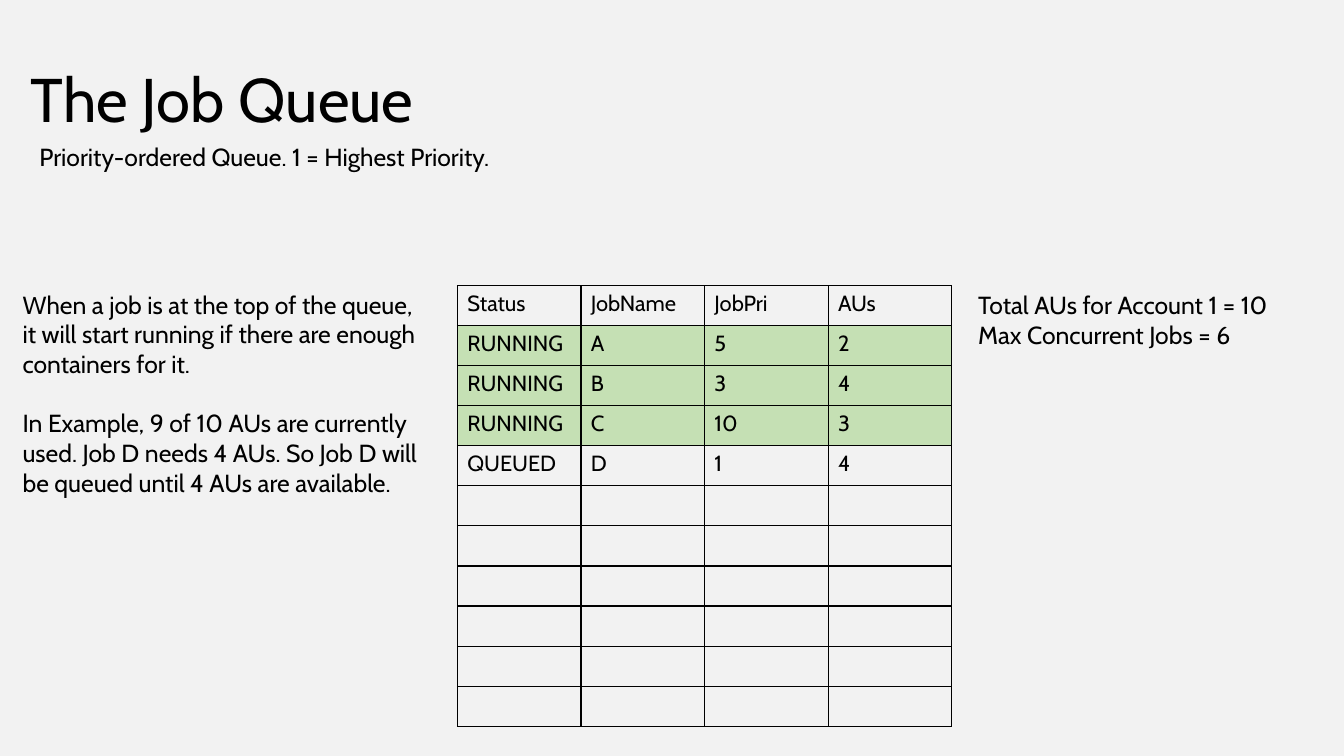
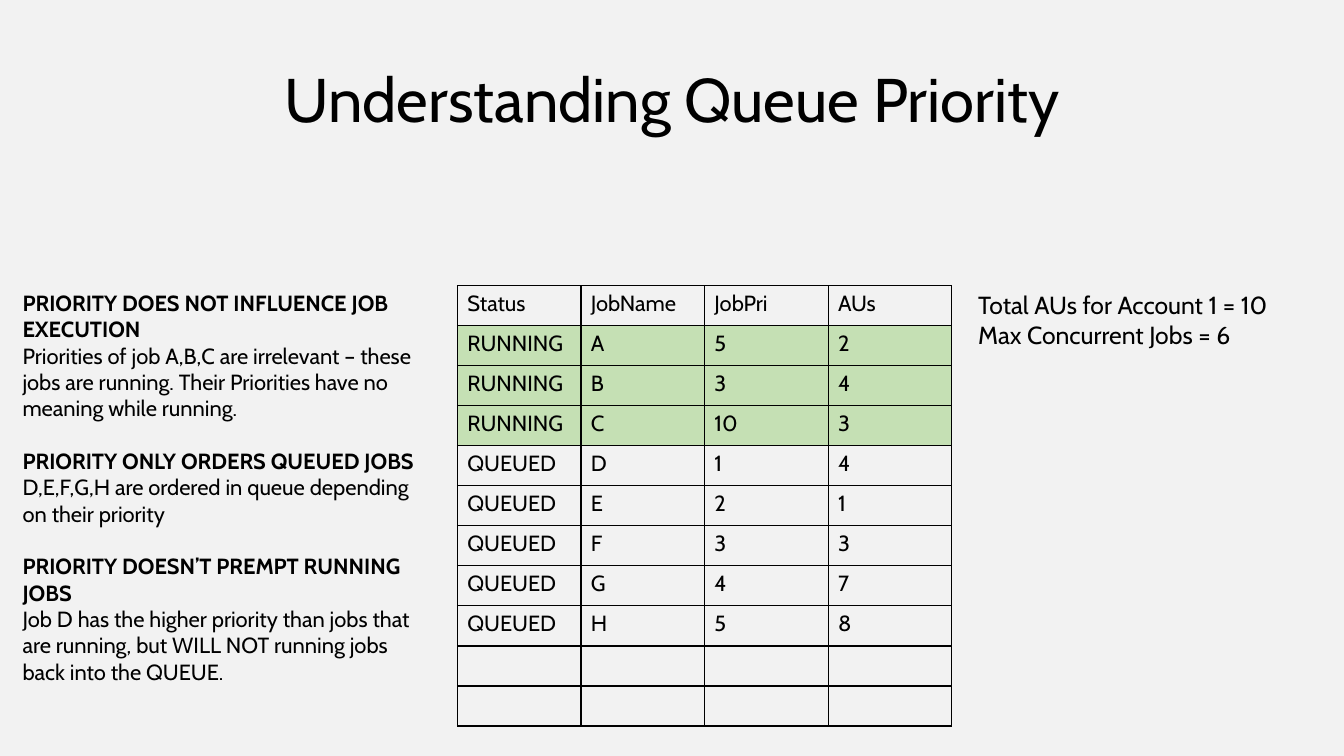
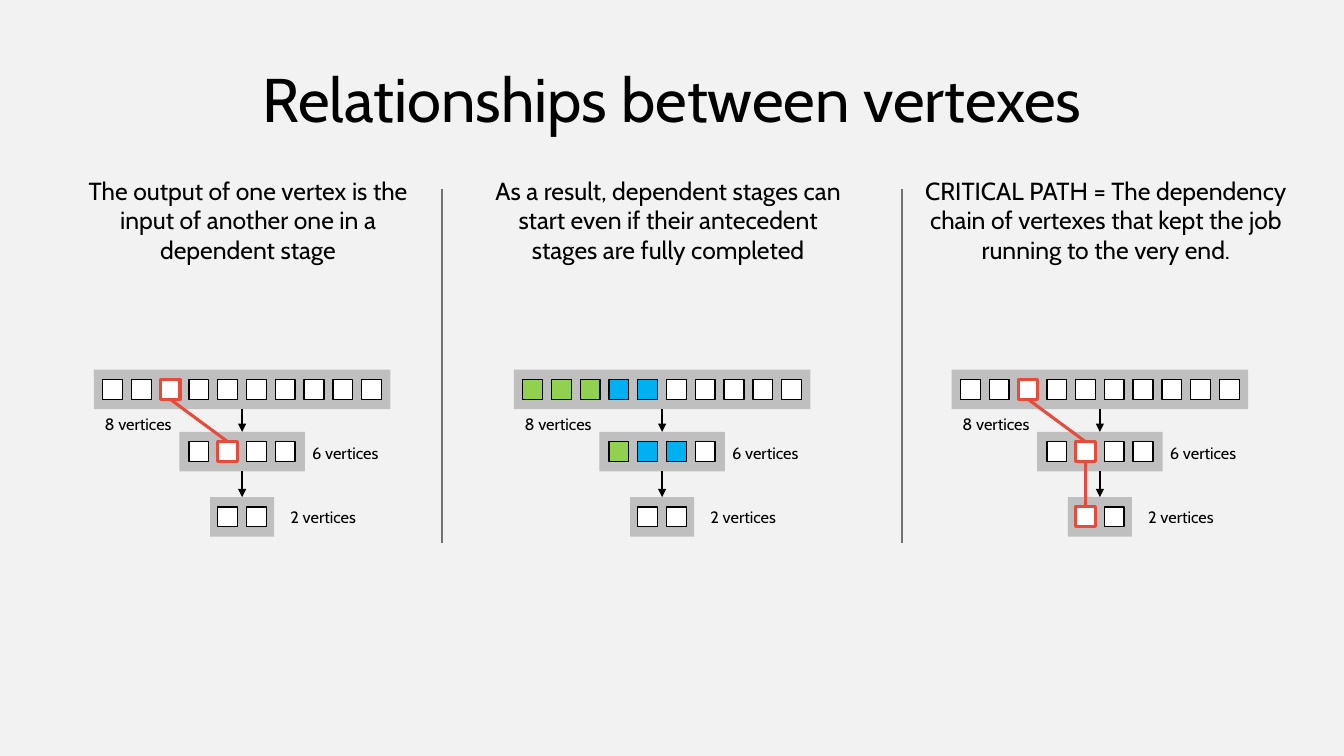
"""Build three slides on job queues, priorities and vertex dependencies."""
from lxml import etree
from pptx import Presentation
from pptx import util as u
from pptx.dml.color import RGBColor
from pptx.enum import shapes, text
from pptx.oxml import ns

FONT = "Cabin"
BLACK, WHITE, PAPER = "000000", "FFFFFF", "F2F2F2"
RUNNING_FILL, BAR_FILL = "C5E0B4", "BFBFBF"
DIVIDER_LINE, CRITICAL_LINE = "767171", "E74B3C"
LEFT, CENTER = text.PP_ALIGN.LEFT, text.PP_ALIGN.CENTER
TOP, MIDDLE = text.MSO_ANCHOR.TOP, text.MSO_ANCHOR.MIDDLE

HEADER = ("Status", "JobName", "JobPri", "AUs")
RUNNING_JOBS = [("RUNNING", "A", "5", "2"), ("RUNNING", "B", "3", "4"), ("RUNNING", "C", "10", "3")]
QUEUED_JOBS = [
    ("QUEUED", "D", "1", "4"),
    ("QUEUED", "E", "2", "1"),
    ("QUEUED", "F", "3", "3"),
    ("QUEUED", "G", "4", "7"),
    ("QUEUED", "H", "5", "8"),
]
TABLE_ROWS = 11
ACCOUNT_LIMITS = [[("Total AUs for Account 1 = 10", False), ("Max Concurrent Jobs = 6", False)]]

QUEUE_SLIDES = [
    {
        "title": "The Job Queue",
        "align": LEFT,
        "subtitle": "Priority-ordered Queue. 1 = Highest Priority.",
        "size": 18,
        "blocks": [
            [("When a job is at the top of the queue, it will start running if there are "
              "enough containers for it.", False)],
            [("In Example, 9 of 10 AUs are currently used. Job D needs 4 AUs. So Job D will "
              "be queued until 4 AUs are available.", False)],
        ],
        "jobs": RUNNING_JOBS + QUEUED_JOBS[:1],
    },
    {
        "title": "Understanding Queue Priority",
        "align": CENTER,
        "subtitle": None,
        "size": 16,
        "blocks": [
            [("PRIORITY DOES NOT INFLUENCE JOB EXECUTION", True),
             ("Priorities of job A,B,C are irrelevant – these jobs are running. Their "
              "Priorities have no meaning while running.", False)],
            [("PRIORITY ONLY ORDERS QUEUED JOBS", True),
             ("D,E,F,G,H are ordered in queue depending on their priority", False)],
            [("PRIORITY DOESN’T PREMPT RUNNING JOBS", True),
             ("Job D has the higher priority than jobs that are running, but WILL NOT "
              "running jobs back into the QUEUE.", False)],
        ],
        "jobs": RUNNING_JOBS + QUEUED_JOBS,
    },
]

VERTEX_TITLE = "Relationships between vertexes"
VERTEX_STYLES = {
    "waiting": (WHITE, BLACK, 1),
    "done": ("92D050", BLACK, 1),
    "active": ("00B0F0", BLACK, 1),
    "critical": (WHITE, CRITICAL_LINE, 2.25),
}
VERTEX_COLUMNS = [
    (0.55, "The output of one vertex is the input of another one in a dependent stage",
     [{"critical": [2]}, {"critical": [1]}, {}]),
    (4.8, "As a result, dependent stages can start even if their antecedent stages are "
          "fully completed",
     [{"done": [0, 1, 2], "active": [3, 4]}, {"done": [0], "active": [1, 2]}, {}]),
    (9.23, "CRITICAL PATH = The dependency chain of vertexes that kept the job running to "
           "the very end.",
     [{"critical": [2]}, {"critical": [1]}, {"critical": [0]}]),
]
STAGES = [
    {"top": 3.74, "width": 3, "count": 10, "label": "8 vertices", "label_at": (0.01, 4.14)},
    {"top": 4.37, "width": 1.27, "count": 4, "label": "6 vertices", "label_at": (2.11, 4.43)},
    {"top": 5.03, "width": 0.65, "count": 2, "label": "2 vertices", "label_at": (1.89, 5.08)},
]
DIVIDERS = (4.47, 9.13)
BAR_HEIGHT, VERTEX, PITCH = 0.4, 0.2, 2.62 / 9


def color(code):
    """Turn a hex string into a colour."""
    return RGBColor.from_string(code)


def inches(*values):
    """Turn numbers into lengths in inches."""
    return [u.Inches(value) for value in values]


def write_text(frame, blocks, size, align=LEFT, anchor=TOP, spacing=None):
    """Write blocks of paragraphs, one blank line's space apart."""
    frame.word_wrap = True
    frame.auto_size = text.MSO_AUTO_SIZE.NONE
    frame.vertical_anchor = anchor
    para = None
    for block in blocks:
        for index, (words, bold) in enumerate(block):
            starts_block = para is not None and index == 0
            para = frame.paragraphs[0] if para is None else frame.add_paragraph()
            para.alignment = align
            para.space_before = u.Pt(size * 1.2 if starts_block else 0)
            if spacing:
                para.line_spacing = spacing
            span = para.add_run()
            span.text = words
            span.font.name, span.font.size, span.font.bold = FONT, u.Pt(size), bold
            span.font.color.rgb = color(BLACK)


def add_text(parent, at, blocks, size, **options):
    """Add a text box; a plain string is one paragraph."""
    if isinstance(blocks, str):
        blocks = [[(blocks, False)]]
    box = parent.shapes.add_textbox(*inches(*at))
    write_text(box.text_frame, blocks, size, **options)


def add_rect(parent, at, fill, line=None, width=1):
    """Add a filled rectangle, outlined if a line colour is given."""
    rect = parent.shapes.add_shape(shapes.MSO_SHAPE.RECTANGLE, *inches(*at))
    rect.shadow.inherit = False
    rect.fill.solid()
    rect.fill.fore_color.rgb = color(fill)
    if line:
        rect.line.color.rgb = color(line)
        rect.line.width = u.Pt(width)
    else:
        rect.line.fill.background()


def add_line(parent, start, end, line, width, arrow=False):
    """Add a straight line, with an arrowhead at its end on request."""
    link = parent.shapes.add_connector(shapes.MSO_CONNECTOR.STRAIGHT, *inches(*start, *end))
    link.line.color.rgb = color(line)
    link.line.width = u.Pt(width)
    if arrow:
        etree.SubElement(link.line._get_or_add_ln(), ns.qn("a:tailEnd"), type="triangle")
    etree.SubElement(link._element.spPr, ns.qn("a:effectLst"))


def add_page(deck, title, align=CENTER):
    """Add a title-only slide with the shared title style."""
    page = deck.slides.add_slide(deck.slide_layouts[5])
    box = page.shapes.title
    box.left, box.top, box.width, box.height = inches(0.21, 0.21, 13.18, 1.66)
    write_text(box.text_frame, [[(title, False)]], 44.9, align, MIDDLE, 0.9)
    return page


def set_borders(cell):
    """Draw a thin black line on each side of a cell."""
    props = cell._tc.get_or_add_tcPr()
    for index, side in enumerate(("lnL", "lnR", "lnT", "lnB")):
        edge = etree.Element(ns.qn("a:" + side), w=str(u.Pt(1)))
        fill = etree.SubElement(edge, ns.qn("a:solidFill"))
        etree.SubElement(fill, ns.qn("a:srgbClr"), val=BLACK)
        props.insert(index, edge)


def add_job_table(page, jobs):
    """Add the queue table, padded with empty rows."""
    blank = ("",) * len(HEADER)
    rows = [HEADER, *jobs] + [blank] * (TABLE_ROWS - 1 - len(jobs))
    frame = page.shapes.add_table(TABLE_ROWS, len(HEADER), *inches(4.63, 2.89, 5, 4.46))
    table = frame.table
    table.first_row = table.horz_banding = False
    for r, row in enumerate(rows):
        for c, words in enumerate(row):
            cell = table.cell(r, c)
            if row[0] == "RUNNING":
                cell.fill.solid()
                cell.fill.fore_color.rgb = color(RUNNING_FILL)
            else:
                cell.fill.background()
            set_borders(cell)
            if words:
                write_text(cell.text_frame, [[(words, False)]], 16)


def add_queue_slide(deck, content):
    """Add a slide with notes, the queue table and the account limits."""
    page = add_page(deck, content["title"], content["align"])
    add_text(page, (0.13, 2.88, 4.25, 4.36), content["blocks"], content["size"])
    if content["subtitle"]:
        add_text(page, (0.3, 1.24, 7.09, 0.7), content["subtitle"], 18, anchor=MIDDLE)
    add_job_table(page, content["jobs"])
    add_text(page, (9.8, 2.57, 4.7, 1.33), ACCOUNT_LIMITS, 18, anchor=MIDDLE)


def add_stage_diagram(page, left, states):
    """Add stage bars with their vertices, and join the critical ones."""
    group = page.shapes.add_group_shape()
    center = left + STAGES[0]["width"] / 2
    critical = []
    for stage, marks in zip(STAGES, states):
        top, width, count = stage["top"], stage["width"], stage["count"]
        add_rect(group, (center - width / 2, top, width, BAR_HEIGHT), BAR_FILL)
        kinds = {spot: kind for kind, spots in marks.items() for spot in spots}
        first = center - ((count - 1) * PITCH + VERTEX) / 2
        y = top + (BAR_HEIGHT - VERTEX) / 2
        for spot in range(count):
            x = first + spot * PITCH
            kind = kinds.get(spot, "waiting")
            add_rect(group, (x, y, VERTEX, VERTEX), *VERTEX_STYLES[kind])
            if kind == "critical":
                critical.append((x + VERTEX / 2, y))
        label_x, label_y = stage["label_at"]
        add_text(group, (left + label_x, label_y, 1.01, 0.3), stage["label"], 12)
    for upper, lower in zip(STAGES, STAGES[1:]):
        add_line(group, (center, upper["top"] + BAR_HEIGHT), (center, lower["top"]), BLACK, 1, True)
    for (x, y), target in zip(critical, critical[1:]):
        add_line(page, (x, y + VERTEX), target, CRITICAL_LINE, 2.25)


def add_vertex_slide(deck):
    """Add the slide that compares three stage diagrams."""
    page = add_page(deck, VERTEX_TITLE)
    for x in DIVIDERS:
        add_line(page, (x, 1.91), (x, 5.49), DIVIDER_LINE, 1.5)
    for left, caption, states in VERTEX_COLUMNS:
        add_text(page, (left, 1.87, 3.92, 0.71), caption, 18, align=CENTER, anchor=MIDDLE)
        add_stage_diagram(page, left + 0.4, states)


def main():
    """Build and save the deck."""
    deck = Presentation()
    deck.slide_width, deck.slide_height = inches(13.6, 7.65)
    backdrop = deck.slide_master.background.fill
    backdrop.solid()
    backdrop.fore_color.rgb = color(PAPER)
    for content in QUEUE_SLIDES:
        add_queue_slide(deck, content)
    add_vertex_slide(deck)
    deck.save("out.pptx")


if __name__ == "__main__":
    main()
